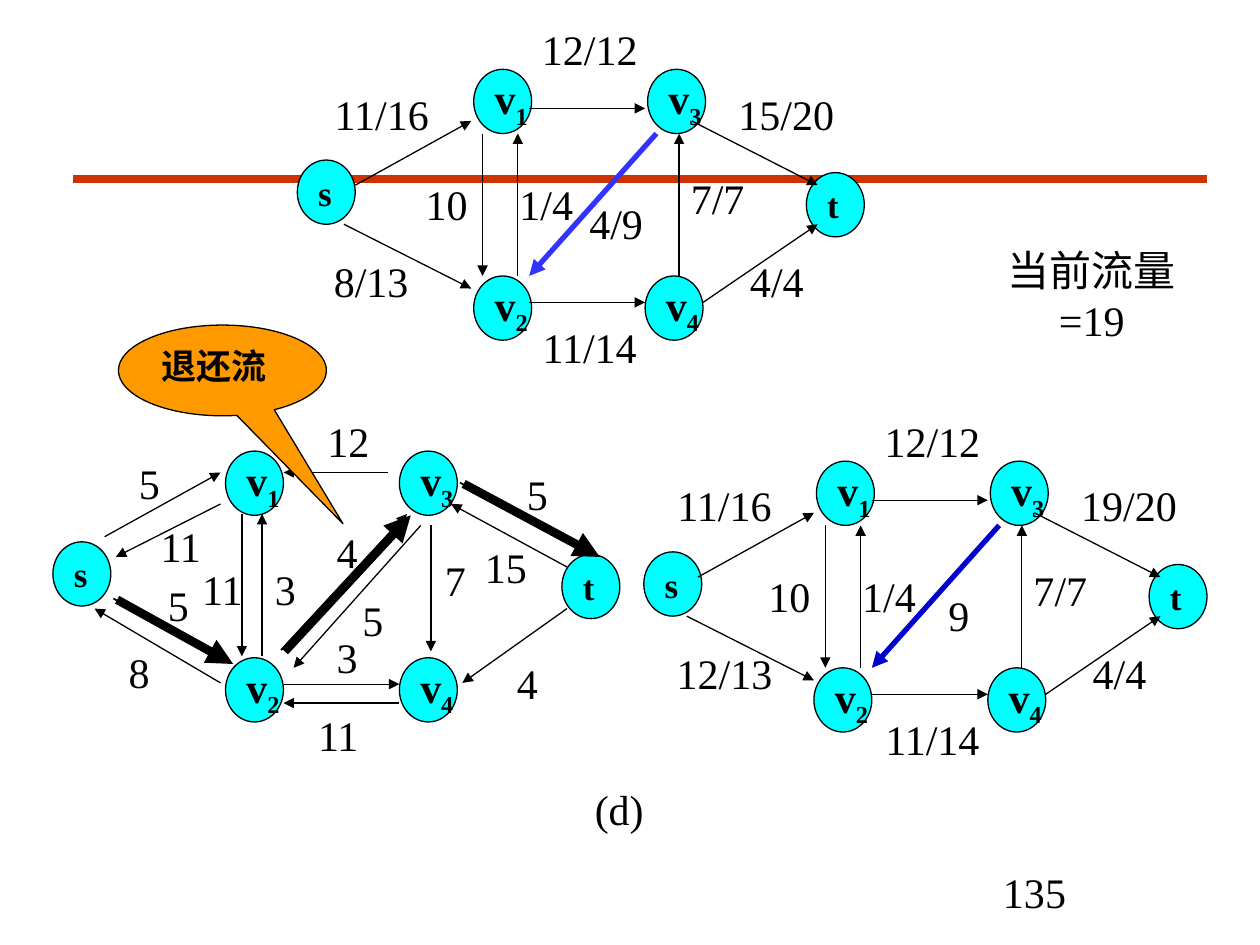
from lxml.etree import SubElement
from pptx import Presentation
from pptx.dml.color import RGBColor
from pptx.enum.shapes import MSO_CONNECTOR, MSO_SHAPE
from pptx.enum.text import MSO_ANCHOR, MSO_AUTO_SIZE, PP_ALIGN
from pptx.oxml.ns import qn
from pptx.util import Inches, Pt

BLACK = RGBColor(0x00, 0x00, 0x00)
CYAN = RGBColor(0x00, 0xFF, 0xFF)
ORANGE = RGBColor(0xFF, 0x99, 0x00)
RULE_RED = RGBColor(0xCC, 0x33, 0x00)
BRIGHT_BLUE = RGBColor(0x33, 0x33, 0xFF)
DARK_BLUE = RGBColor(0x00, 0x00, 0xCC)

deck = Presentation()
deck.slide_width, deck.slide_height = Inches(10), Inches(7.5)
slide = deck.slides.add_slide(deck.slide_layouts[6])
shapes = slide.shapes

# Grid of 100 columns by 75 rows; every position below is (column, row).
COL, ROW = deck.slide_width / 100, deck.slide_height / 75
NODE_COLS, NODE_ROWS = 4.6, 5.1
LABEL_ROWS = 5
GLYPH_COLS = {"/": 0.93, "(": 1.11, ")": 1.11}


def draw_line(ends, color=BLACK, weight=0.75, arrow=True):
    x1, y1, x2, y2 = ends
    line = shapes.add_connector(MSO_CONNECTOR.STRAIGHT, int(x1 * COL), int(y1 * ROW),
                                int(x2 * COL), int(y2 * ROW))
    line.line.color.rgb = color
    line.line.width = Pt(weight)
    if arrow:
        SubElement(line.line._get_or_add_ln(), qn("a:tailEnd"), type="triangle")
    SubElement(line._element.spPr, qn("a:effectLst"))


def write(shape, text, subscript="", align=PP_ALIGN.LEFT, **font_values):
    paragraph = shape.text_frame.paragraphs[0]
    paragraph.alignment = align
    for part in filter(None, (text, subscript)):
        run = paragraph.add_run()
        run.text = part
        run.font.name = "Times New Roman"
        run.font.color.rgb = BLACK
        for key, value in font_values.items():
            setattr(run.font, key, value)
        if part == subscript:
            run._r.get_or_add_rPr().set("baseline", "-25000")


# Residual network: name, left column, top row
nodes = [("s", 4.2, 43), ("v2", 17.9, 52.2), ("v4", 31.7, 52.2),
         ("t", 44.6, 44), ("v3", 31.7, 35.8), ("v1", 17.9, 35.8)]
arrows = [(ends, BLACK, 0.75) for ends in (
    (8.3, 42.6, 17.5, 37.5), (22.5, 54.3, 31.7, 54.3), (19.2, 40.8, 19.2, 52.1),
    (20.8, 52.1, 20.8, 40.8), (33.4, 41.7, 23.3, 53), (17.5, 40, 9.2, 44.2),
    (30.8, 37.5, 22.5, 37.5), (31.7, 55.8, 22.5, 55.8), (34.2, 41.7, 34.2, 51.7),
    (45, 48.3, 36.7, 54.2), (45, 45, 35.8, 40), (17.5, 54.2, 7.5, 48.3))]
augmenting_path = [(36.5, 38.3, 47.3, 44.1), (9, 47.5, 18.2, 52.6),
                   (22.3, 51.6, 32.3, 40.8)]
arrows += [((x1 + 0.3, y1 + 0.1, x2 + 0.3, y2 + 0.1), BLACK, 5)
           for x1, y1, x2, y2 in augmenting_path]

# Capacity labels: text, centre column, top row
labels = [("5", 29.6, 46.7), ("5", 11.85, 35.8), ("8", 11.05, 50.8),
          ("11", 17.65, 44.2), ("3", 22.65, 44.2), ("4", 41.85, 51.7),
          ("7", 36.15, 43.5), ("11", 26.85, 55.8), ("11", 14.35, 40.8),
          ("12", 27.65, 32.5), ("4", 27.55, 41.3), ("3", 27.55, 49.6),
          ("5", 42.65, 36.7), ("15", 40.15, 42.5), ("5", 14.15, 45.5),
          ("(d)", 49.15, 61.7), ("135", 82.1, 68.3), ("当前流量=19", 86.65, 18.9)]

# Flow networks before and after: shift, s and v2 columns, changed flows, v3-v2 colour
flow_networks = [
    (0, 0, 23.6, 37.6, ("8/13", 29.45), "15/20", "4/9", BRIGHT_BLUE),
    (27.2, 31.1, 51.1, 64.6, ("12/13", 30.3), "19/20", "9", DARK_BLUE)]
flow_arrows = [
    (28.2, 14.7, 37.4, 9.6), (42, 8.6, 51.2, 8.6), (54.9, 9.6, 64.9, 14.7),
    (27.3, 17.8, 37.4, 22.9), (42, 24, 51.2, 24), (55.8, 24, 64.9, 17.8),
    (38.3, 10.6, 38.3, 21.9), (41.1, 21.9, 41.1, 10.6), (53.9, 21.9, 53.9, 10.6),
    (52.1, 10.6, 42, 21.9)]
for dx, dy, s_col, v2_col, (s_v2, s_v2_col), v3_t, v3_v2, blue in flow_networks:
    nodes += [("s", s_col, 12.7 + dy), ("v2", v2_col, 21.9 + dy)]
    nodes += [(name, x + dx, y + dy) for name, x, y in (
        ("v4", 51.2, 21.9), ("t", 64, 13.7), ("v3", 51.4, 5.5), ("v1", 37.6, 5.5))]
    for ends in flow_arrows:
        x1, y1, x2, y2 = ends
        style = (blue, 3) if ends == flow_arrows[-1] else (BLACK, 0.75)
        arrows.append(((x1 + dx, y1 + dy, x2 + dx, y2 + dy), *style))
    labels += [(text, x + dx, y + dy) for text, x, y in (
        (v3_v2, 48.9, 15.2), ("11/16", 30.3, 6.5), (s_v2, s_v2_col, 19.8),
        ("12/12", 46.8, 1.4), ("10", 35.45, 13.7), ("1/4", 43.35, 13.7),
        (v3_t, 62.4, 6.5), ("4/4", 61.65, 19.8), ("7/7", 56.95, 13.2),
        ("11/14", 46.8, 25))]

draw_line((5.8, 14.2, 95.8, 14.2), RULE_RED, 4.5, arrow=False)

for name, x, y in nodes:
    node = shapes.add_shape(MSO_SHAPE.OVAL, int(x * COL), int(y * ROW),
                            int(NODE_COLS * COL), int(NODE_ROWS * ROW))
    node.shadow.inherit = False
    node.fill.solid()
    node.fill.fore_color.rgb = CYAN
    node.line.color.rgb = BLACK
    node.line.width = Pt(0.75)
    node.text_frame.word_wrap = False
    node.text_frame.vertical_anchor = MSO_ANCHOR.MIDDLE
    write(node, name[0], name[1:], size=Pt(24 if name[1:] else 20), bold=True)

for ends, color, weight in arrows:
    draw_line(ends, color, weight)

for text, centre, top in labels:
    width = 2 + sum(3.33 if ch in "当前流量" else GLYPH_COLS.get(ch, 1.67) for ch in text)
    label = shapes.add_textbox(int((centre - width / 2) * COL), int(top * ROW),
                               int(width * COL), int(LABEL_ROWS * ROW))
    label.text_frame.word_wrap = False
    label.text_frame.auto_size = MSO_AUTO_SIZE.SHAPE_TO_FIT_TEXT
    write(label, text, align=PP_ALIGN.CENTER, size=Pt(24))

returned_flow = shapes.add_shape(MSO_SHAPE.OVAL_CALLOUT, int(9.4 * COL), int(25.8 * ROW),
                                 int(16.5 * COL), int(7.2 * ROW))
returned_flow.adjustments[0], returned_flow.adjustments[1] = 0.58, 1.69
returned_flow.shadow.inherit = False
returned_flow.fill.solid()
returned_flow.fill.fore_color.rgb = ORANGE
returned_flow.line.color.rgb = BLACK
returned_flow.line.width = Pt(0.75)
returned_flow.text_frame.vertical_anchor = MSO_ANCHOR.TOP
write(returned_flow, "退还流", size=Pt(20), bold=True)

for ends in augmenting_path:
    draw_line(ends, weight=1)

deck.save("out.pptx")
